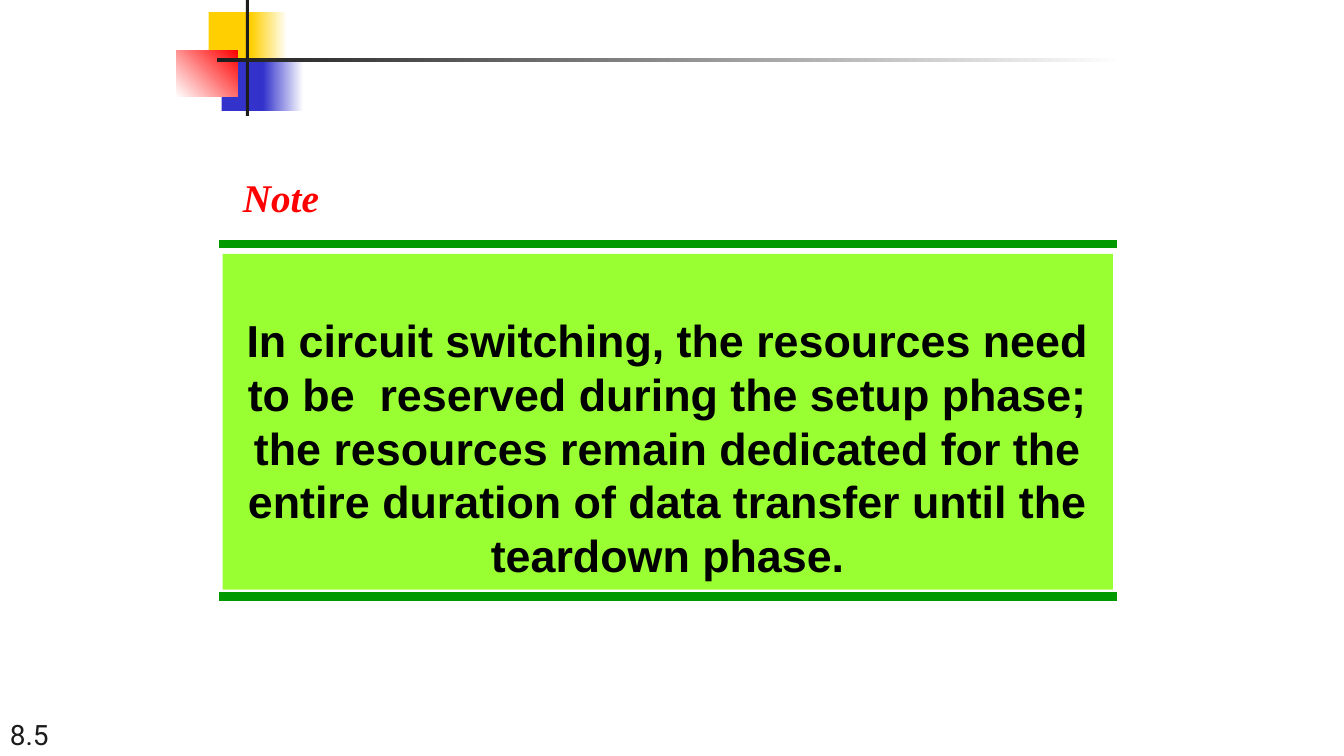
from pptx import Presentation
from pptx.dml.color import RGBColor
from pptx.enum import shapes, text
from pptx.oxml.ns import qn
from pptx.util import Pt

WHITE = RGBColor(0xFF, 0xFF, 0xFF)
BLACK = RGBColor(0, 0, 0)
INK = RGBColor(0x1C, 0x1C, 0x1C)
YELLOW = RGBColor(0xFF, 0xCF, 0x01)
BLUE = RGBColor(0x33, 0x33, 0xCC)
RED = RGBColor(0xFF, 0, 0)
GREEN = RGBColor(0, 0x99, 0)
LIME = RGBColor(0x99, 0xFF, 0x33)

NOTE_FONT = {"name": "Times New Roman", "size": Pt(28), "bold": True, "italic": True}
BODY_FONT = {"name": "Arial", "size": Pt(32), "bold": True}
NUMBER_FONT = {"name": "Roboto", "size": Pt(20)}

# left, top, width, height, start colour, end colour (None: solid), angle
ORNAMENT = [
    (149, 8.6, 34.6, 37.4, YELLOW, None, 0),
    (179.3, 8.6, 25.9, 37.4, YELLOW, WHITE, 0),
    (158.4, 41.8, 33.1, 37.4, BLUE, None, 0),
    (187.9, 41.8, 28.8, 37.4, BLUE, WHITE, 0),
    (126, 36, 43.9, 33.1, WHITE, RED, 45),
    (175.7, 0, 2.2, 82.8, INK, None, 0),
    (154.8, 41.8, 648, 2.2, INK, WHITE, 0),
]

MESSAGE = (
    "In circuit switching, the resources need to be  reserved during the setup phase;\v"
    "the resources remain dedicated for the entire duration of data transfer "
    "until the teardown phase."
)


def add_block(slide, left, top, width, height, color, end=None, angle=0):
    """Add a borderless rectangle, solid or fading from color to end."""
    sp = slide.shapes.add_shape(
        shapes.MSO_SHAPE.RECTANGLE, Pt(left), Pt(top), Pt(width), Pt(height))
    sp.shadow.inherit = False
    sp.line.fill.background()
    if end is None:
        sp.fill.solid()
        sp.fill.fore_color.rgb = color
    else:
        sp.fill.gradient()
        sp.fill.gradient_angle = angle
        for stop, rgb, position in zip(sp.fill.gradient_stops, (color, end), (0, 1)):
            stop.color.rgb = rgb
            stop.position = position
    return sp


def add_rule(slide, y):
    line = slide.shapes.add_connector(
        shapes.MSO_CONNECTOR.STRAIGHT, Pt(156.2), Pt(y), Pt(798.2), Pt(y))
    line.line.color.rgb = GREEN
    line.line.width = Pt(6)
    line._element.spPr.append(line._element.spPr.makeelement(qn("a:effectLst"), {}))


def write(sp, words, font, color, align, **frame):
    tf = sp.text_frame
    for name, value in frame.items():
        setattr(tf, name, value)
    p = tf.paragraphs[0]
    p.text = words
    p.alignment = align
    for r in p.runs:
        for name, value in font.items():
            setattr(r.font, name, value)
        r.font.color.rgb = color


def add_note_title(slide):
    title = slide.shapes.title
    title.left, title.top, title.width, title.height = Pt(166.3), Pt(120.2), Pt(69.1), Pt(41)
    write(title, "Note", NOTE_FONT, RED, text.PP_ALIGN.LEFT, word_wrap=False,
          auto_size=text.MSO_AUTO_SIZE.NONE, vertical_anchor=text.MSO_ANCHOR.TOP)


def add_message(slide):
    box = add_block(slide, 159.1, 181.4, 635.8, 239.8, LIME)
    write(box, MESSAGE, BODY_FONT, BLACK, text.PP_ALIGN.CENTER, word_wrap=True,
          vertical_anchor=text.MSO_ANCHOR.TOP, margin_top=Pt(42))


def add_number(slide):
    box = slide.shapes.add_textbox(Pt(0), Pt(504), Pt(200), Pt(36))
    write(box, "8.5", NUMBER_FONT, INK, text.PP_ALIGN.LEFT, word_wrap=True,
          vertical_anchor=text.MSO_ANCHOR.BOTTOM)


def main():
    prs = Presentation()
    prs.slide_width, prs.slide_height = Pt(960), Pt(540)
    slide = prs.slides.add_slide(prs.slide_layouts.get_by_name("Title Only"))
    add_number(slide)
    for block in ORNAMENT:
        add_block(slide, *block)
    for y in (174.2, 426.2):
        add_rule(slide, y)
    add_message(slide)
    add_note_title(slide)
    prs.save("out.pptx")


if __name__ == "__main__":
    main()
